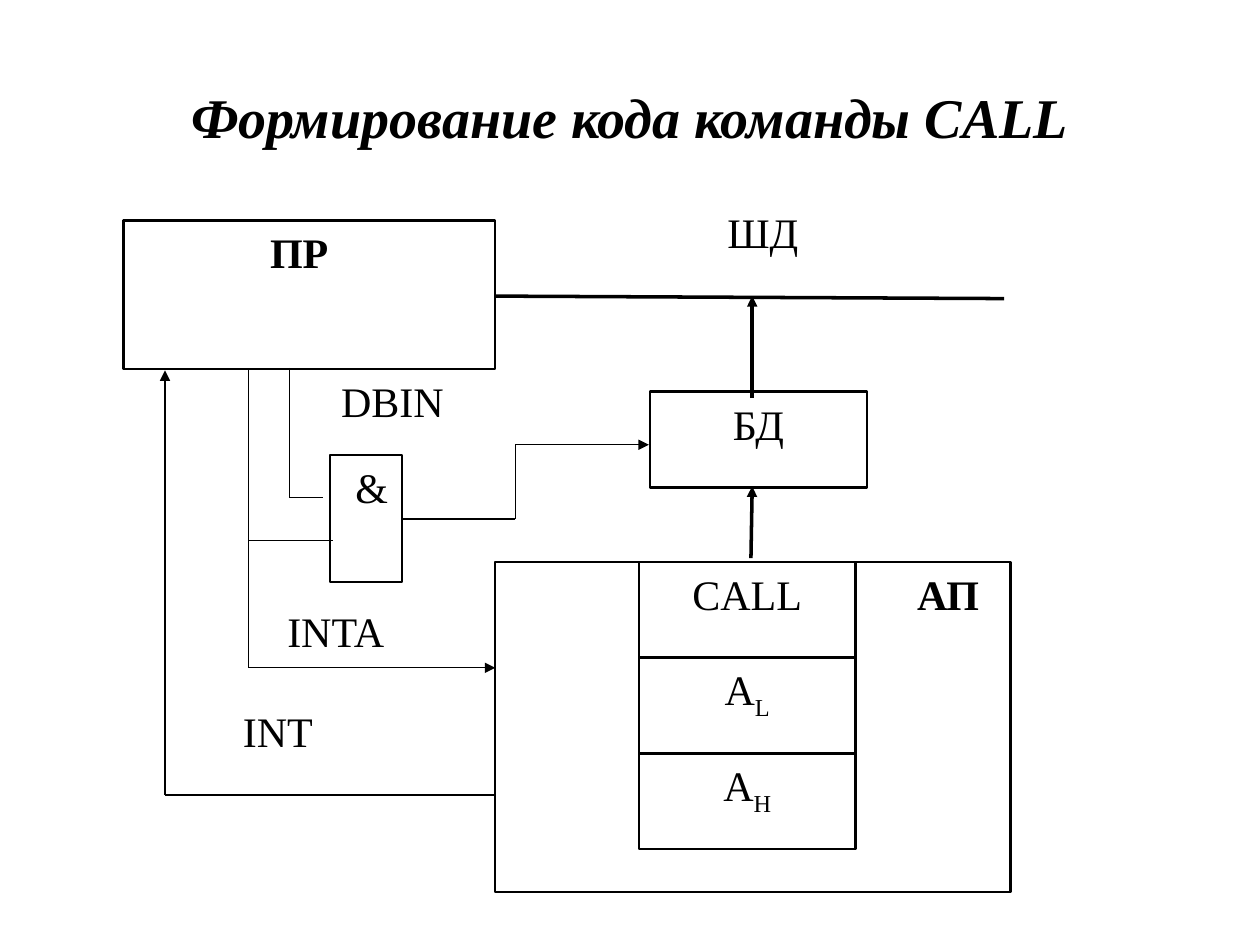
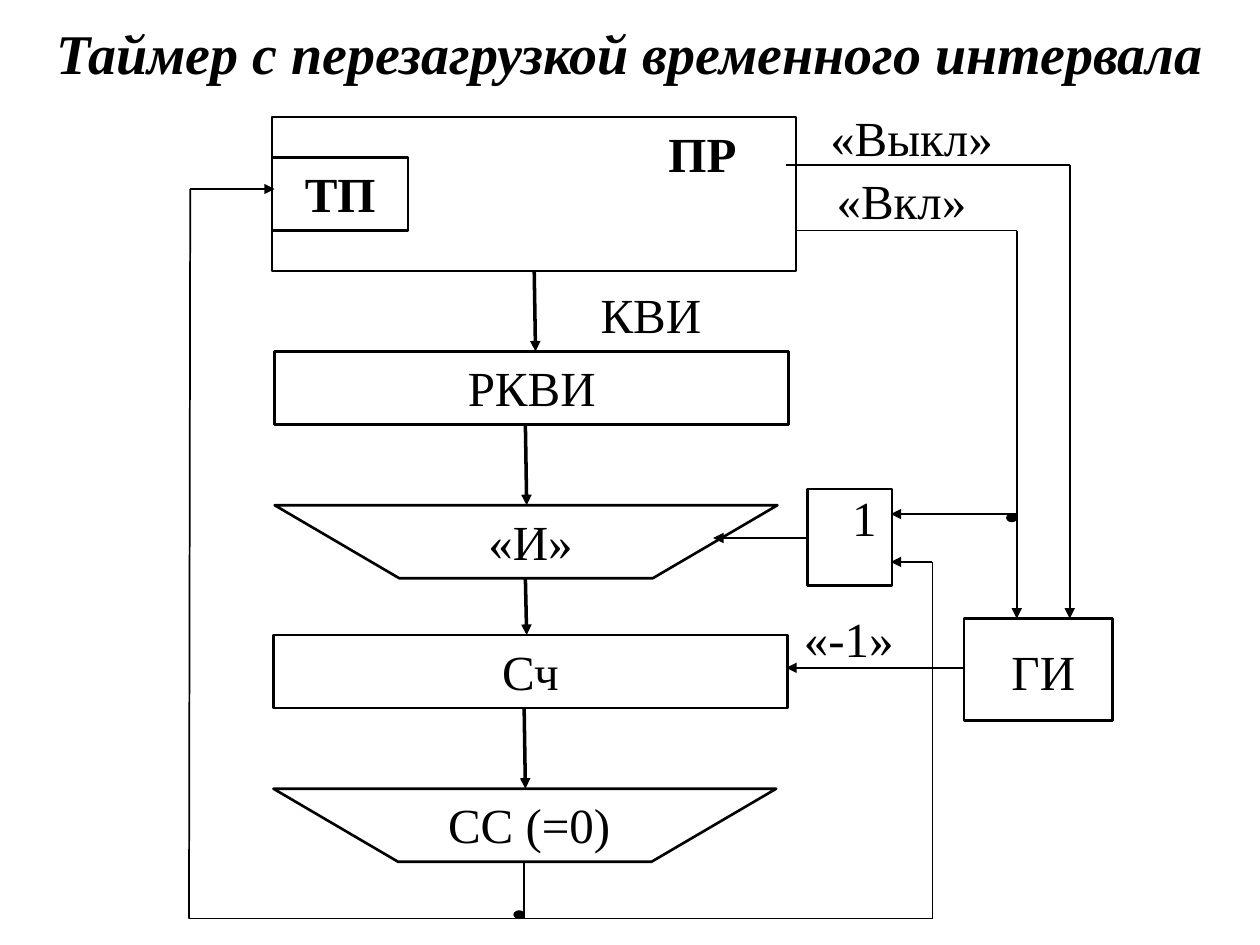
from lxml import etree
from pptx import Presentation
from pptx.dml.color import RGBColor
from pptx.enum.shapes import MSO_CONNECTOR, MSO_SHAPE
from pptx.enum.text import MSO_ANCHOR, PP_ALIGN
from pptx.oxml.ns import qn
from pptx.util import Inches, Pt

RECT, OVAL = MSO_SHAPE.RECTANGLE, MSO_SHAPE.OVAL
STRAIGHT = MSO_CONNECTOR.STRAIGHT
TOP, MIDDLE = MSO_ANCHOR.TOP, MSO_ANCHOR.MIDDLE
CENTER = PP_ALIGN.CENTER

FONT = "Times New Roman"
BLACK, WHITE = "000000", "FFFFFF"
TITLE_SIZE = 32
OUTLINE, BUS = 1.5, 2  # line widths of blocks and data paths, points


def rgb(value):
    return RGBColor.from_string(value)


def write(tf, text, size, bold=False, italic=False, anchor=TOP, sub=""):
    """Centred one-line text with an optional subscript."""
    tf.word_wrap = True
    tf.vertical_anchor = anchor
    p = tf.paragraphs[0]
    p.alignment = CENTER
    p.add_run().text = text
    if sub:
        r = p.add_run()
        r.text = sub
        r.font._element.set("baseline", "-25000")
    p.font.name, p.font.size = FONT, Pt(size)
    p.font.bold, p.font.italic = bold, italic
    p.font.color.rgb = rgb(BLACK)


def add_slide(prs, title, left, top, width, height):
    s = prs.slides.add_slide(prs.slide_layouts[5])
    sp = s.shapes.title
    sp.left, sp.top = Inches(left), Inches(top)
    sp.width, sp.height = Inches(width), Inches(height)
    write(sp.text_frame, title, TITLE_SIZE, True, True, MIDDLE)
    return s


def outline(sp, width=OUTLINE, fill=None):
    sp.shadow.inherit = False
    if fill:
        sp.fill.solid()
        sp.fill.fore_color.rgb = rgb(fill)
    else:
        sp.fill.background()
    sp.line.color.rgb = rgb(BLACK)
    sp.line.width = Pt(width)


def block(s, left, top, width, height, text="", size=24, bold=False, sub=""):
    sp = s.shapes.add_shape(RECT, Inches(left), Inches(top), Inches(width), Inches(height))
    outline(sp)
    if text:
        write(sp.text_frame, text, size, bold, sub=sub)


def trapezoid(s, left, top, text, size):
    """Gate narrowing downwards, with its label in a text box."""
    width, height, inset = 3.99, 0.58, 0.99
    corners = [(left + inset, top + height), (left + width - inset, top + height),
               (left + width, top)]
    builder = s.shapes.build_freeform(Inches(left), Inches(top))
    builder.add_line_segments([(Inches(x), Inches(y)) for x, y in corners])
    outline(builder.convert_to_shape(), fill=WHITE)
    label(s, left + inset, top, 2.08, 0.52, text, size)


def label(s, left, top, width, height, text, size, bold=False):
    tb = s.shapes.add_textbox(Inches(left), Inches(top), Inches(width), Inches(height))
    write(tb.text_frame, text, size, bold)


def wire(s, points, width, arrow=True):
    """Chain of straight lines; the arrowhead sits at the last point."""
    for start, end in zip(points, points[1:]):
        c = s.shapes.add_connector(STRAIGHT, *map(Inches, start + end))
        c.line.color.rgb = rgb(BLACK)
        c.line.width = Pt(width)
        etree.SubElement(c._element.spPr, qn("a:effectLst"))
    if arrow:
        etree.SubElement(c.line._get_or_add_ln(), qn("a:tailEnd"), type="triangle")


def junction(s, left, top):
    dot = s.shapes.add_shape(OVAL, Inches(left), Inches(top), Inches(0.08), Inches(0.06))
    outline(dot, 0.75, BLACK)


def call_slide(prs):
    s = add_slide(prs, "Формирование кода команды CALL", 0.5, 0.3, 9, 1.25)
    size, signal = 24, 0.75

    # Processor, gate, address part and bus driver
    block(s, 0.98, 1.75, 2.95, 1.18)
    block(s, 2.62, 3.61, 0.57, 1.01)
    block(s, 3.93, 4.46, 4.09, 2.62)
    block(s, 5.16, 3.11, 1.72, 0.76, "БД", size)

    # Bytes of the command
    for i, (text, sub) in enumerate([("CALL", ""), ("A", "L"), ("A", "H")]):
        block(s, 5.07, 4.46 + 0.76 * i, 1.72, 0.76, text, size, sub=sub)

    # Labels
    for left, top, width, text, bold in [
        (1.64, 1.75, 1.47, "ПР", True),
        (6.79, 4.46, 1.47, "АП", True),
        (2.38, 2.93, 1.47, "DBIN", False),
        (2.54, 3.61, 0.82, "&", False),
        (5.32, 1.59, 1.47, "ШД", False),
        (1.47, 5.55, 1.47, "INT", False),
        (1.93, 4.76, 1.47, "INTA", False),
    ]:
        label(s, left, top, width, 0.69, text, size, bold)

    # Data bus and the path to it
    wire(s, [(3.93, 2.35), (7.97, 2.37)], BUS, arrow=False)
    wire(s, [(5.96, 4.43), (5.97, 3.86)], BUS)
    wire(s, [(5.97, 3.16), (5.97, 2.35)], BUS)

    # Control signals
    wire(s, [(2.3, 2.92), (2.3, 3.95), (2.56, 3.95)], signal, arrow=False)
    wire(s, [(1.97, 4.29), (2.64, 4.29)], signal, arrow=False)
    wire(s, [(1.97, 2.94), (1.97, 5.3), (3.93, 5.3)], signal)
    wire(s, [(3.93, 6.31), (1.31, 6.31), (1.31, 2.94)], signal)
    wire(s, [(3.2, 4.12), (4.09, 4.12), (4.09, 3.53), (5.15, 3.53)], signal)


def timer_slide(prs):
    s = add_slide(prs, "Таймер с перезагрузкой временного интервала", 0.25, 0.07, 9.5, 0.68)
    size, signal = 28, 1

    # Processor, registers, OR gate and pulse generator
    block(s, 2.16, 0.93, 4.16, 1.22)
    block(s, 2.16, 1.25, 1.08, 0.58, "ТП", size, True)
    block(s, 2.18, 2.79, 4.08, 0.58, "РКВИ", size)
    block(s, 2.17, 5.04, 4.08, 0.58, "Сч", size)
    block(s, 6.41, 3.88, 0.67, 0.77)
    block(s, 7.65, 4.91, 1.18, 0.81)
    trapezoid(s, 2.18, 4.01, "«И»", size)
    trapezoid(s, 2.17, 6.26, "СС (=0)", size)

    # Labels
    for left, top, width, text, bold in [
        (4.83, 0.93, 1.49, "ПР", True),
        (5.99, 4.78, 1.49, "«-1»", False),
        (4.42, 2.21, 1.49, "КВИ", False),
        (7.74, 5.04, 1.08, "ГИ", False),
        (6.32, 0.8, 1.83, "«Выкл»", False),
        (6.24, 1.3, 1.83, "«Вкл»", False),
        (6.32, 3.82, 1.08, "1", False),
    ]:
        label(s, left, top, width, 0.52, text, size, bold)

    # Data path down the column
    for x, top, bottom in [(4.24, 2.15, 2.79), (4.17, 3.37, 4.01),
                           (4.17, 4.59, 5.04), (4.16, 5.62, 6.26)]:
        wire(s, [(x, top), (x + 0.01, bottom)], BUS)

    # Control signals
    wire(s, [(6.24, 1.31), (8.49, 1.31), (8.49, 4.91)], signal)
    wire(s, [(6.32, 1.83), (8.07, 1.83), (8.07, 4.91)], signal)
    wire(s, [(8.07, 4.08), (7.07, 4.08)], signal)
    wire(s, [(6.41, 4.27), (5.66, 4.27)], signal)
    wire(s, [(7.65, 5.3), (6.24, 5.3)], signal)

    # Feedback from the zero comparator
    wire(s, [(4.16, 6.84), (4.16, 7.29)], signal, arrow=False)
    wire(s, [(4.16, 7.29), (1.5, 7.29), (1.51, 1.5), (2.18, 1.5)], signal)
    wire(s, [(4.16, 7.29), (7.4, 7.29), (7.4, 4.46), (7.07, 4.46)], signal)
    junction(s, 4.08, 7.23)
    junction(s, 7.99, 4.08)


def main():
    prs = Presentation()
    prs.slide_width, prs.slide_height = Inches(10), Inches(7.5)
    call_slide(prs)
    timer_slide(prs)
    prs.save("out.pptx")


if __name__ == "__main__":
    main()
